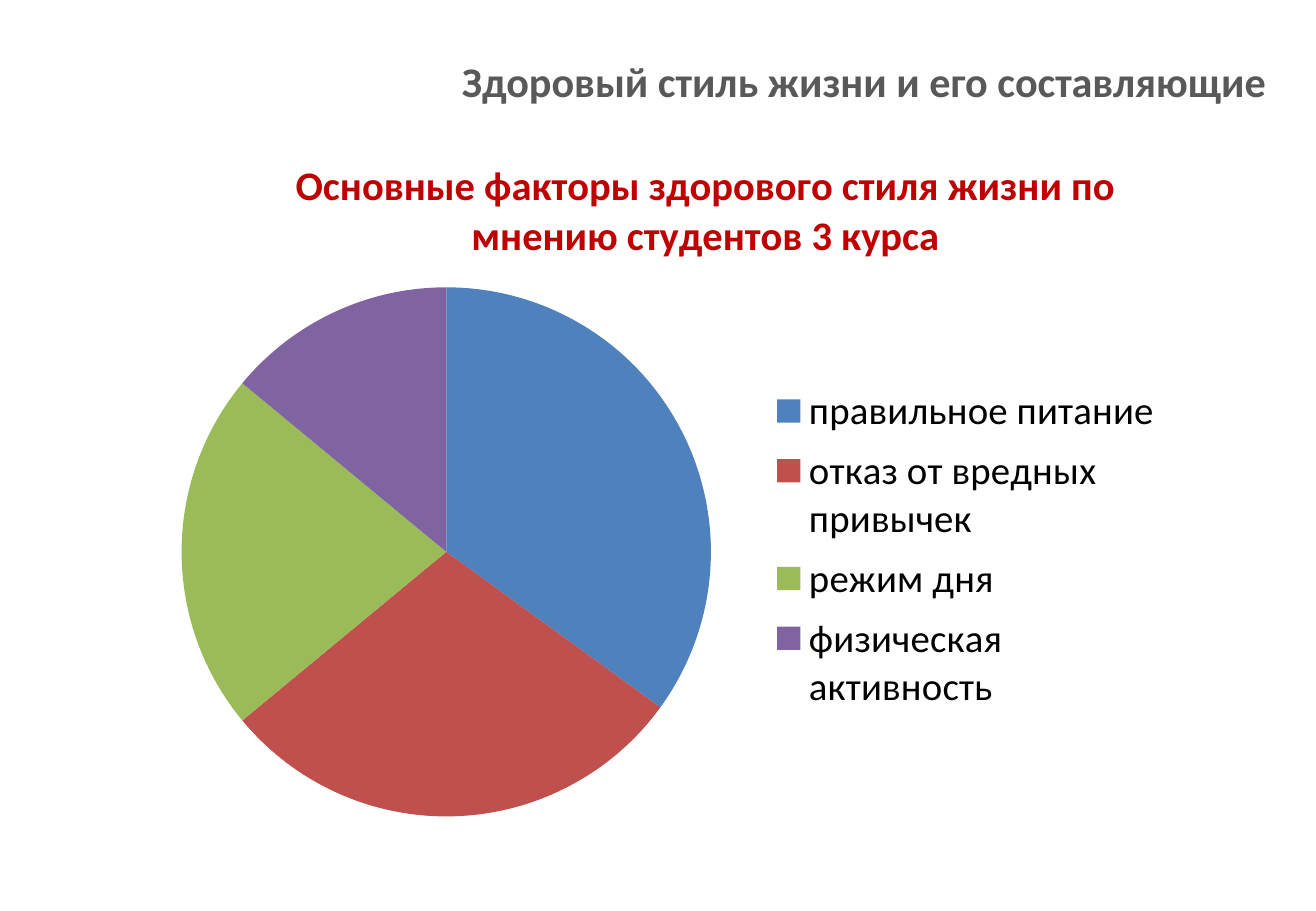
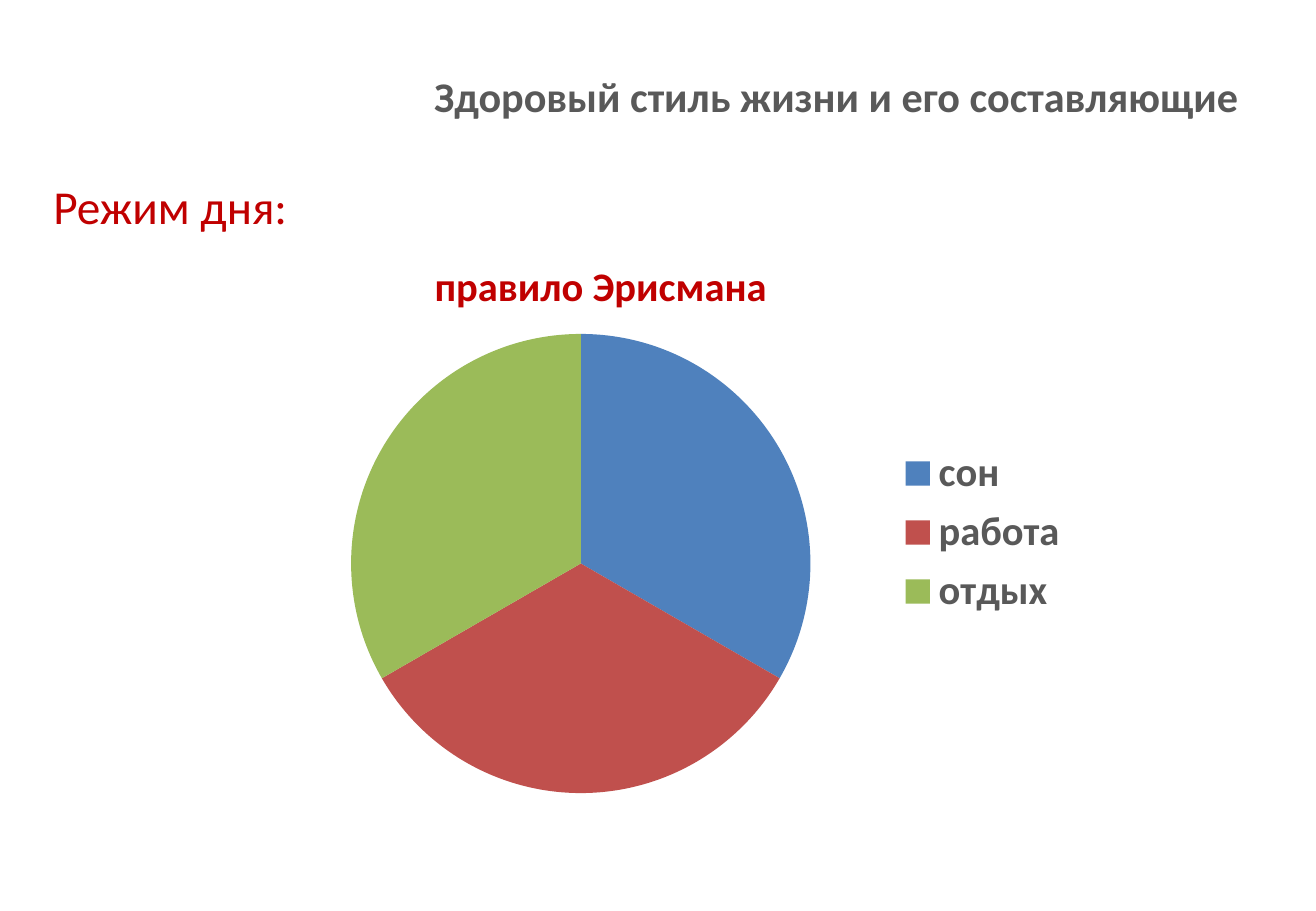
"""Build two slides with pie charts on a healthy lifestyle."""
from dataclasses import dataclass

from lxml import etree
from pptx import Presentation
from pptx import util as u
from pptx.chart.data import CategoryChartData
from pptx.dml.color import RGBColor
from pptx.enum import chart as charts, text
from pptx.oxml import ns

GREY = RGBColor(0x59, 0x59, 0x59)
RED = RGBColor(0xC0, 0x00, 0x00)
BLACK = RGBColor(0x00, 0x00, 0x00)
SLICE_COLOURS = (
    RGBColor(0x4F, 0x81, 0xBD),
    RGBColor(0xC0, 0x50, 0x4D),
    RGBColor(0x9B, 0xBB, 0x59),
    RGBColor(0x80, 0x64, 0xA2),
)
FONT = "Calibri"
HEADING = "Здоровый стиль жизни и его составляющие"
WIDTH, HEIGHT = u.Inches(10.83), u.Inches(7.5)
TITLE_ONLY = 5


@dataclass(frozen=True)
class Box:
    """A rectangle in percent of its parent's width and height."""
    left: float
    top: float
    width: float = 0
    height: float = 0

    def on_slide(self) -> tuple[int, int, int, int]:
        """Return the rectangle in slide units."""
        return (int(WIDTH * self.left / 100), int(HEIGHT * self.top / 100),
                int(WIDTH * self.width / 100), int(HEIGHT * self.height / 100))


@dataclass(frozen=True)
class Pie:
    """A pie chart with the places of its parts."""
    title: str
    series: str
    shares: dict[str, int]
    box: Box
    title_box: Box
    plot_box: Box
    legend_box: Box
    legend_size: int
    legend_colour: RGBColor
    legend_bold: bool


@dataclass(frozen=True)
class Topic:
    """The content of one slide."""
    title_box: Box
    pie: Pie
    label: str = ""


LABEL_BOX = Box(3.14, 18.8, 90.5, 10.27)
TOPICS = (
    Topic(
        Box(7.11, 4.8, 90, 8.13),
        Pie("Основные факторы здорового стиля жизни по мнению студентов 3 курса",
            "Series 1",
            {"правильное питание": 35, "отказ от вредных привычек": 29,
             "режим дня": 22, "физическая активность": 14},
            Box(9.33, 15.33, 80.6, 76.13), Box(15.6, 1.6),
            Box(5.5, 21.3, 50, 76.3), Box(61, 34, 37, 50), 23, BLACK, False),
    ),
    Topic(
        Box(5, 6.4, 90, 8.13),
        Pie("правило Эрисмана", "правило Эрисмана",
            {"сон": 33, "работа": 33, "отдых": 33},
            Box(18, 24.8, 66.67, 64.13), Box(21.7, 4.4),
            Box(13, 18.5, 52.4, 78.6), Box(74.5, 36.5, 21, 32), 24, GREY, True),
        "Режим дня:",
    ),
)


def style_font(font, size: int, colour: RGBColor, bold: bool) -> None:
    """Set the face, size, colour and weight of a font."""
    font.name, font.size, font.bold = FONT, u.Pt(size), bold
    font.color.rgb = colour


def place_part(part, index: int, box: Box, inner: bool = False) -> None:
    """Give a chart part a manual layout as its child at the index."""
    for old in part.findall(ns.qn("c:layout")):
        part.remove(old)
    layout = etree.Element(ns.qn("c:layout"))
    manual = etree.SubElement(layout, ns.qn("c:manualLayout"))
    settings = [("layoutTarget", "inner")] if inner else []
    settings += [("xMode", "edge"), ("yMode", "edge")]
    sizes = (("x", box.left), ("y", box.top), ("w", box.width), ("h", box.height))
    settings += [(tag, f"{size / 100:.3f}") for tag, size in sizes if size]
    for tag, setting in settings:
        etree.SubElement(manual, ns.qn(f"c:{tag}")).set("val", setting)
    part.insert(index, layout)


def add_pie(page, pie: Pie) -> None:
    """Add a pie chart with a title and a legend at its right."""
    figures = CategoryChartData()
    figures.categories = list(pie.shares)
    figures.add_series(pie.series, list(pie.shares.values()))
    chart = page.shapes.add_chart(
        charts.XL_CHART_TYPE.PIE, *pie.box.on_slide(), figures).chart
    style_font(chart.font, 20, pie.legend_colour, pie.legend_bold)

    chart.has_title = True
    para = chart.chart_title.text_frame.paragraphs[0]
    para.text = pie.title
    style_font(para.font, 24, RED, True)
    style_font(para.runs[0].font, 24, RED, True)
    chart.chart_title.include_in_layout = False

    chart.has_legend = True
    chart.legend.position = charts.XL_LEGEND_POSITION.RIGHT
    chart.legend.include_in_layout = False
    style_font(chart.legend.font, pie.legend_size, pie.legend_colour, pie.legend_bold)

    plot = chart.plots[0]
    plot.vary_by_categories = True
    for number, colour in zip(range(len(pie.shares)), SLICE_COLOURS):
        fill = plot.series[0].points[number].format.fill
        fill.solid()
        fill.fore_color.rgb = colour

    plot_area = chart.element.find(".//" + ns.qn("c:plotArea"))
    title = chart.element.find(".//" + ns.qn("c:title"))
    legend = chart.element.find(".//" + ns.qn("c:legend"))
    place_part(plot_area, 0, pie.plot_box, inner=True)
    place_part(title, 1, pie.title_box)
    place_part(legend, 1, pie.legend_box)


def add_title(page, box: Box) -> None:
    """Move, fill and format the title placeholder."""
    title = page.shapes.title
    title.left, title.top, title.width, title.height = box.on_slide()
    frame = title.text_frame
    frame.text = HEADING
    frame.vertical_anchor = text.MSO_ANCHOR.MIDDLE
    para = frame.paragraphs[0]
    para.alignment = text.PP_ALIGN.RIGHT
    style_font(para.runs[0].font, 25, GREY, True)


def add_label(page, words: str) -> None:
    """Add the line of text under the title."""
    frame = page.shapes.add_textbox(*LABEL_BOX.on_slide()).text_frame
    frame.word_wrap = True
    frame.text = words
    style_font(frame.paragraphs[0].runs[0].font, 28, RED, False)


def main() -> None:
    """Build and save the deck."""
    deck = Presentation()
    deck.slide_width, deck.slide_height = WIDTH, HEIGHT
    for topic in TOPICS:
        page = deck.slides.add_slide(deck.slide_layouts[TITLE_ONLY])
        add_title(page, topic.title_box)
        if topic.label:
            add_label(page, topic.label)
        add_pie(page, topic.pie)
    deck.save("out.pptx")


if __name__ == "__main__":
    main()
